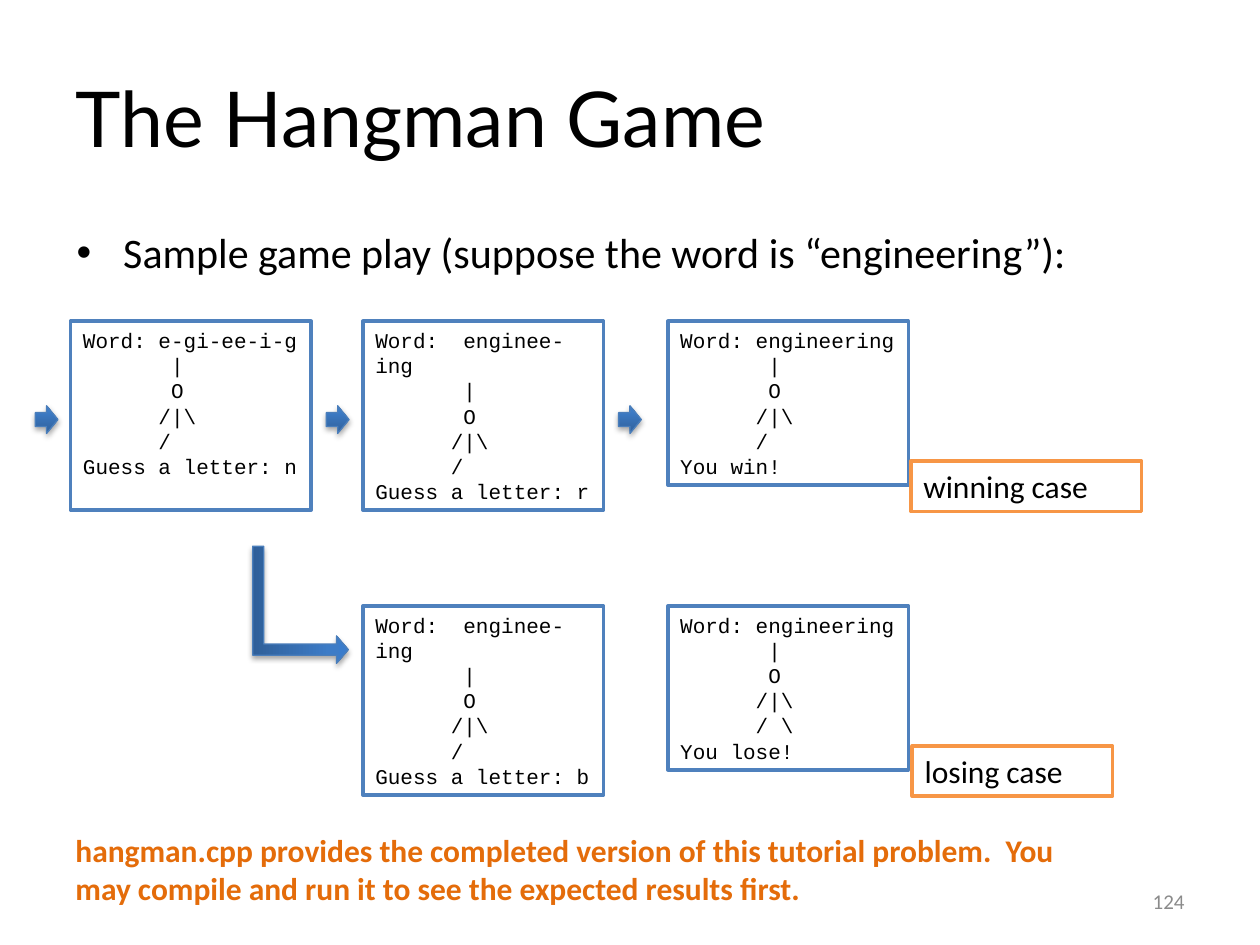
from copy import deepcopy
from lxml import etree
from pptx import Presentation
from pptx import util as u
from pptx.dml.color import RGBColor
from pptx.enum import shapes, text
from pptx.oxml import parse_xml
from pptx.oxml.ns import nsdecls, qn

In = u.Inches
HUES = {"ink": "000000", "paper": "FFFFFF", "blue": "4F81BD", "edge": "4A7EBB",
        "orange": "F79646", "note": "E46C0A", "gray": "8B8B8B",
        "dark": "2F5F99", "mid": "3D7CC7", "light": "3A7CCB"}
RGB = {name: RGBColor.from_string(code) for name, code in HUES.items()}
SHADE = (f'<a:effectLst {nsdecls("a")}><a:outerShdw blurRad="40000" dist="23000" '
         'dir="5400000" rotWithShape="0"><a:srgbClr val="000000">'
         '<a:alpha val="35000"/></a:srgbClr></a:outerShdw></a:effectLst>')

prs = Presentation()
prs.slide_width, prs.slide_height = In(10), In(7.5)
slide = prs.slides.add_slide(prs.slide_layouts[5])


def write(shape, words, size, font="Calibri", hue="ink", bold=False,
          align=text.PP_ALIGN.LEFT, anchor=text.MSO_ANCHOR.TOP):
    frame = shape.text_frame
    frame.text = words
    frame.word_wrap = True
    frame.vertical_anchor = anchor
    for para in frame.paragraphs:
        para.alignment = align
        for run in para.runs:
            run.font.size, run.font.name = u.Pt(size), font
            run.font.bold, run.font.color.rgb = bold, RGB[hue]


def draw(kind, left, top, width, height, line, weight):
    shape = slide.shapes.add_shape(kind, In(left), In(top), In(width), In(height))
    shape.shadow.inherit = False
    shape.fill.solid()
    shape.fill.fore_color.rgb = RGB["paper"]
    shape.line.color.rgb = RGB[line]
    shape.line.width = u.Pt(weight)
    return shape


# Title
title = slide.shapes.title
title.left, title.top, title.width, title.height = In(0.5), In(0.3), In(9), In(1.25)
write(title, "The Hangman Game", 44, "Lato", anchor=text.MSO_ANCHOR.MIDDLE)

# Bullet
body = slide.shapes.add_textbox(In(0.5), In(1.75), In(9), In(4.95))
write(body, "Sample game play (suppose the word is “engineering”):", 24)
para = body.text_frame.paragraphs[0]
para.space_before = u.Pt(4.8)
props = para._p.get_or_add_pPr()
props.set("marL", str(In(0.38)))
props.set("indent", str(In(-0.37)))
etree.SubElement(props, qn("a:buFont")).set("typeface", "Arial")
etree.SubElement(props, qn("a:buChar")).set("char", "•")

# Slide number
num = slide.shapes.add_textbox(In(7.17), In(6.95), In(2.33), In(0.4))
write(num, "124", 12, hue="gray", align=text.PP_ALIGN.RIGHT,
      anchor=text.MSO_ANCHOR.MIDDLE)

# Game screens: left, top, height, word line, legs, last line
screens = [
    (0.56, 2.55, 1.5, "Word: e-gi-ee-i-g", "/", "Guess a letter: n"),
    (2.88, 2.55, 1.5, "Word:  enginee-ing", "/", "Guess a letter: r"),
    (5.3, 2.55, 1.3, "Word: engineering", "/", "You win!"),
    (2.88, 4.81, 1.5, "Word:  enginee-ing", "/", "Guess a letter: b"),
    (5.3, 4.81, 1.3, "Word: engineering", "/ \\", "You lose!"),
]
for left, top, height, word, legs, last in screens:
    box = draw(shapes.MSO_SHAPE.RECTANGLE, left, top, 1.91, height, "blue", 2)
    man = ["       |", "       O", "      /|\\", "      " + legs]
    write(box, "\n".join([word, *man, last]), 12, "Courier New")

# Arrows between the screens
arrows = [draw(shapes.MSO_SHAPE.RIGHT_ARROW, left, 3.22, 0.18, 0.22, "edge", 0.75)
          for left in (0.28, 2.59, 4.91)]
bent = draw(shapes.MSO_SHAPE.BENT_UP_ARROW, 1.92, 4.42, 0.93, 0.76, "edge", 0.75)
bent.rotation = 90
for i, ratio in enumerate((0.116, 0.143, 0.124)):
    bent.adjustments[i] = ratio
for arrow in [*arrows, bent]:
    arrow.fill.gradient()
    arrow.fill.gradient_angle = 90
    stops = arrow._element.spPr.find(qn("a:gradFill")).find(qn("a:gsLst"))
    stops.append(deepcopy(stops[-1]))
    for stop, hue, spot in zip(arrow.fill.gradient_stops,
                               ("dark", "mid", "light"), (0, 0.8, 1)):
        stop.color.rgb = RGB[hue]
        stop.position = spot
    spot = arrow._element.spPr
    spot.replace(spot.find(qn("a:effectLst")), parse_xml(SHADE))

# Case labels
for left, top, width, words in [(7.23, 3.66, 1.83, "winning case"),
                                (7.24, 5.92, 1.59, "losing case")]:
    tag = draw(shapes.MSO_SHAPE.RECTANGLE, left, top, width, 0.4, "orange", 2)
    write(tag, words, 18)

# Closing note
note = slide.shapes.add_textbox(In(0.5), In(6.55), In(8.19), In(1))
write(note, "hangman.cpp provides the completed version of this tutorial problem.  "
      "You may compile and run it to see the expected results first.",
      18, hue="note", bold=True)

prs.save("out.pptx")
